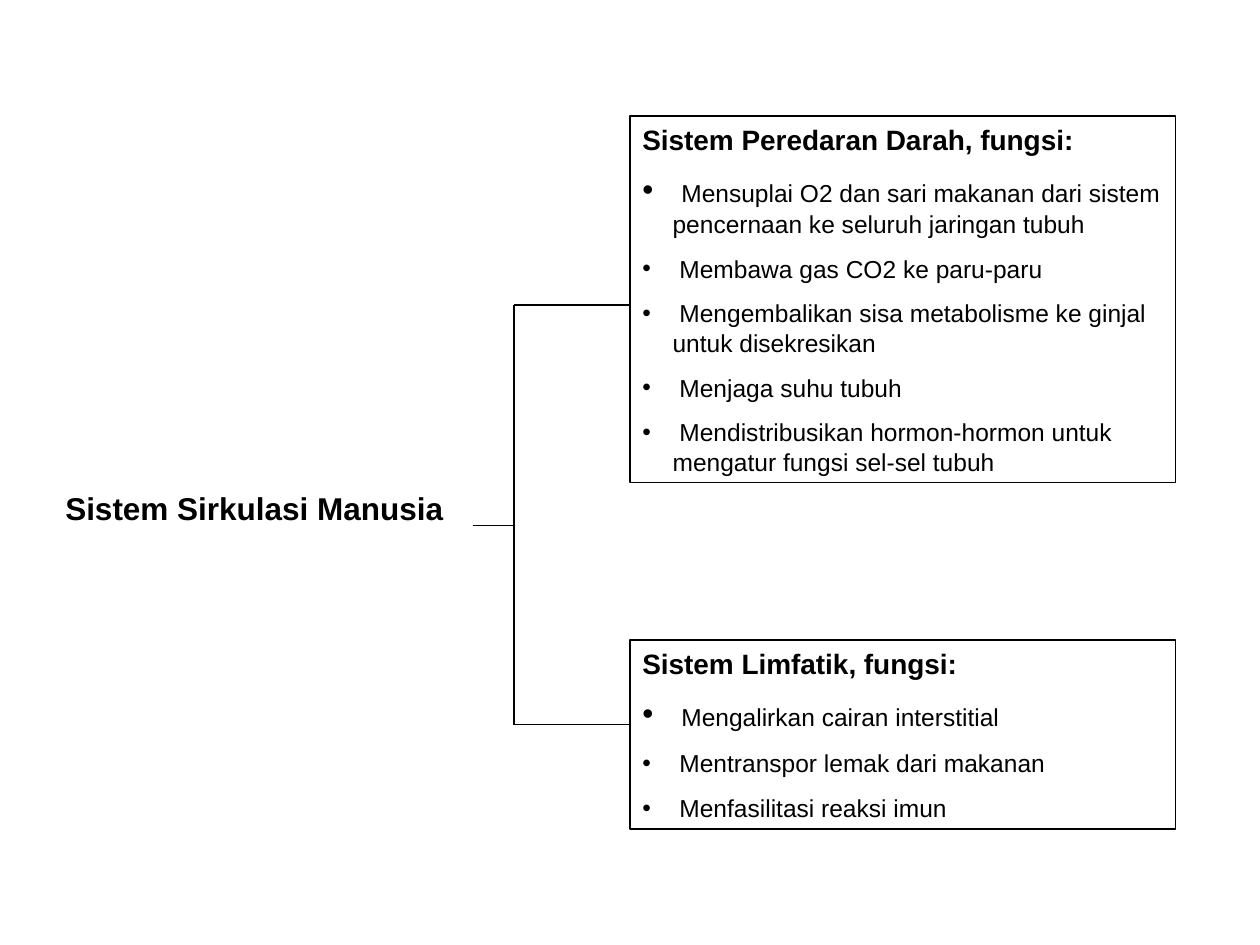
from dataclasses import dataclass

from pptx import Presentation
from pptx.dml.color import RGBColor
from pptx.enum.shapes import MSO_CONNECTOR as Connector, MSO_SHAPE as Shape
from pptx.enum.text import MSO_ANCHOR as Anchor, PP_ALIGN as Align
from pptx.oxml.ns import qn
from pptx.util import Inches, Pt
from lxml import etree


@dataclass(frozen=True)
class Theme:
    font: str = "Arial"
    ink: RGBColor = RGBColor(0, 0, 0)
    title_size: float = 18
    heading_size: float = 16
    bullet_size: float = 14
    bullet_space: float = 8.8
    line_width: float = 0.75
    indent: float = 0.24


class Diagram:
    def __init__(self, slide, theme):
        self.slide = slide
        self.theme = theme

    def style_font(self, font, size, bold=False):
        font.name = self.theme.font
        font.size = Pt(size)
        font.bold = bold
        font.color.rgb = self.theme.ink

    def add_title(self, text, left, top, width, height):
        shape = self.slide.shapes.add_textbox(
            Inches(left), Inches(top), Inches(width), Inches(height))
        shape.text_frame.word_wrap = True
        shape.text_frame.text = text
        run = shape.text_frame.paragraphs[0].runs[0]
        self.style_font(run.font, self.theme.title_size, bold=True)

    def add_function_box(self, heading, functions, left, top, width, height):
        shape = self.slide.shapes.add_shape(
            Shape.RECTANGLE, Inches(left), Inches(top), Inches(width), Inches(height))
        shape.shadow.inherit = False
        shape.fill.background()
        shape.line.color.rgb = self.theme.ink
        shape.line.width = Pt(self.theme.line_width)

        frame = shape.text_frame
        frame.word_wrap = True
        frame.vertical_anchor = Anchor.TOP
        frame.text = heading
        paragraph = frame.paragraphs[0]
        paragraph.alignment = Align.LEFT
        self.style_font(paragraph.runs[0].font, self.theme.heading_size, bold=True)

        for index, function in enumerate(functions):
            # The larger leading space enlarges the first bullet.
            lead_size = self.theme.title_size if index == 0 else self.theme.bullet_size
            self.add_bullet(frame, function, lead_size)

    def add_bullet(self, frame, text, lead_size):
        paragraph = frame.add_paragraph()
        paragraph.alignment = Align.LEFT
        paragraph.space_before = Pt(self.theme.bullet_space)
        properties = paragraph._p.get_or_add_pPr()
        properties.set("marL", str(Inches(self.theme.indent)))
        properties.set("indent", str(-Inches(self.theme.indent)))
        etree.SubElement(properties, qn("a:buFont")).set("typeface", self.theme.font)
        etree.SubElement(properties, qn("a:buChar")).set("char", "•")
        for part, size in ((" ", lead_size), (text, self.theme.bullet_size)):
            run = paragraph.add_run()
            run.text = part
            self.style_font(run.font, size)

    def add_line(self, start, end):
        line = self.slide.shapes.add_connector(
            Connector.STRAIGHT, *(Inches(value) for value in (*start, *end)))
        line.line.color.rgb = self.theme.ink
        line.line.width = Pt(self.theme.line_width)
        etree.SubElement(line._element.spPr, qn("a:effectLst"))


def main():
    presentation = Presentation()
    presentation.slide_width = Inches(10)
    presentation.slide_height = Inches(7.5)
    slide = presentation.slides.add_slide(presentation.slide_layouts[6])
    diagram = Diagram(slide, Theme())

    diagram.add_title("Sistem Sirkulasi Manusia", 0.42, 3.83, 3.83, 0.4)

    box_left, box_width = 5, 4.33
    diagram.add_function_box(
        "Sistem Peredaran Darah, fungsi:",
        [
            "Mensuplai O2 dan sari makanan dari sistem pencernaan ke seluruh jaringan tubuh",
            "Membawa gas CO2 ke paru-paru",
            "Mengembalikan sisa metabolisme ke ginjal untuk disekresikan",
            "Menjaga suhu tubuh",
            "Mendistribusikan hormon-hormon untuk mengatur fungsi sel-sel tubuh",
        ],
        box_left, 0.92, box_width, 2.91)
    diagram.add_function_box(
        "Sistem Limfatik, fungsi:",
        [
            "Mengalirkan cairan interstitial",
            "Mentranspor lemak dari makanan",
            "Menfasilitasi reaksi imun",
        ],
        box_left, 5.08, box_width, 1.5)

    trunk_x, stem_y = 4.08, 4.17
    branch_top, branch_bottom = 2.42, 5.75
    diagram.add_line((3.75, stem_y), (trunk_x, stem_y))
    diagram.add_line((trunk_x, branch_bottom), (trunk_x, branch_top))
    for branch_y in (branch_top, branch_bottom):
        diagram.add_line((trunk_x, branch_y), (box_left, branch_y))

    presentation.save("out.pptx")


if __name__ == "__main__":
    main()
